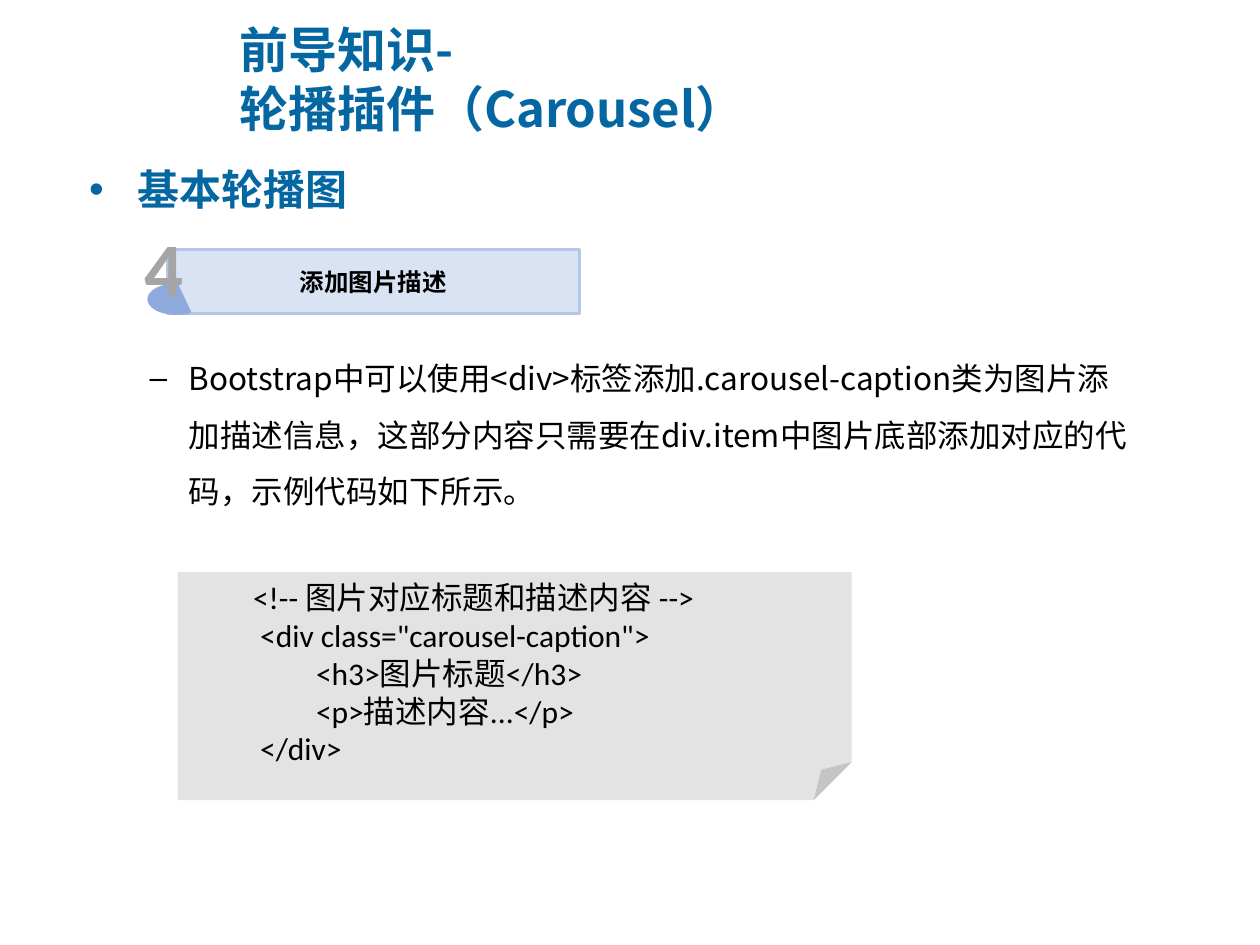
from lxml.etree import SubElement
from pptx import Presentation
from pptx.dml.color import RGBColor
from pptx.enum.shapes import MSO_SHAPE
from pptx.enum.text import MSO_ANCHOR, PP_ALIGN
from pptx.oxml.ns import qn
from pptx.util import Inches, Pt

# Content
TITLE = ["前导知识-", "轮播插件（Carousel）"]
SECTION = ["基本轮播图"]
STEP_NUMBER = ["4"]
STEP_NAME = ["添加图片描述"]
DESCRIPTION = ["Bootstrap中可以使用<div>标签添加.carousel-caption类为图片添加描述信息，"
               "这部分内容只需要在div.item中图片底部添加对应的代码，示例代码如下所示。"]
CODE = [
    "<!-- 图片对应标题和描述内容 -->",
    " <div class=\"carousel-caption\">",
    " \t<h3>图片标题</h3>",
    " \t<p>描述内容...</p>",
    " </div>",
]

COLORS = {"heading": "0567A2", "text": "000000", "number": "A5A5A5", "note": "A6A6A6",
          "bar": "DAE3F3", "bar_line": "B4C7E7", "chord": "8FAADC"}
LATIN, CJK = "Calibri", "Noto Sans CJK SC"

# Grid of 100 columns by 75 rows: left, top, width, height
COLUMNS, ROWS = 100, 75
AREAS = {
    "title": (18, 2, 62, 8.4),
    "section": (6.1, 10.5, 22.7, 6.4),
    "bar": (13.3, 19.8, 32.7, 5.1),
    "chord": (11.8, 22.6, 4.5, 2.3),
    "number": (10.3, 17, 5.5, 8.4),
    "description": (5.9, 26.5, 85.3, 24.9),
    "code": (14.1, 45.4, 53.5, 18.1),
}

presentation = Presentation()
presentation.slide_width, presentation.slide_height = Inches(10), Inches(7.5)
slide = presentation.slides.add_slide(presentation.slide_layouts[5])


def area(name):
    left, top, width, height = AREAS[name]
    cell_width = presentation.slide_width / COLUMNS
    cell_height = presentation.slide_height / ROWS
    return (round(left * cell_width), round(top * cell_height),
            round(width * cell_width), round(height * cell_height))


def color(name):
    return RGBColor.from_string(COLORS[name])


def write(shape, lines, size, font=CJK, fill="text", bold=False, align=PP_ALIGN.LEFT,
          anchor=MSO_ANCHOR.TOP, wrap=True, level=0, margin=0, indent=0, bullet=None,
          spacing=1.0):
    frame = shape.text_frame
    frame.word_wrap, frame.vertical_anchor = wrap, anchor
    for index, line in enumerate(lines):
        paragraph = frame.add_paragraph() if index else frame.paragraphs[0]
        paragraph.alignment, paragraph.level = align, level
        paragraph.line_spacing, paragraph.space_before = spacing, Pt(0)
        properties = paragraph._p.get_or_add_pPr()
        properties.set("marL", str(Inches(margin)))
        properties.set("indent", str(Inches(indent)))
        if bullet:
            SubElement(properties, qn("a:buFont"), typeface="Arial")
            SubElement(properties, qn("a:buChar"), char=bullet)
        else:
            SubElement(properties, qn("a:buNone"))
        run = paragraph.add_run()
        run.text = line
        run.font.size, run.font.bold, run.font.name = Pt(size), bold, font
        run.font.color.rgb = color(fill)
        SubElement(run._r.get_or_add_rPr(), qn("a:ea"), typeface=CJK)


def add_shape(shapes, kind, name, fill, line=None):
    shape = shapes.add_shape(kind, *area(name))
    shape.shadow.inherit = False
    shape.fill.solid()
    shape.fill.fore_color.rgb = color(fill)
    if line:
        shape.line.color.rgb, shape.line.width = color(line), Pt(1.5)
    else:
        shape.line.fill.background()
    return shape


# Title
title = slide.shapes.title
title.left, title.top, title.width, title.height = area("title")
write(title, TITLE, 28, fill="heading", bold=True, anchor=MSO_ANCHOR.MIDDLE,
      margin=0.62, indent=-0.62)

# Description and section heading
description = slide.shapes.add_textbox(*area("description"))
write(description, DESCRIPTION, 18, level=1, margin=0.81, indent=-0.31, bullet="–", spacing=1.5)
section = slide.shapes.add_textbox(*area("section"))
write(section, SECTION, 24, font=LATIN, fill="heading", bold=True, wrap=False,
      margin=0.38, indent=-0.38, bullet="•", spacing=1.5)

# Numbered step label
step = slide.shapes.add_group_shape().shapes
bar = add_shape(step, MSO_SHAPE.RECTANGLE, "bar", "bar", "bar_line")
write(bar, STEP_NAME, 14, bold=True, align=PP_ALIGN.CENTER, anchor=MSO_ANCHOR.MIDDLE)
add_shape(step, MSO_SHAPE.CHORD, "chord", "chord", "chord")
number = step.add_textbox(*area("number"))
write(number, STEP_NUMBER, 44, font=LATIN, fill="number", bold=True,
      align=PP_ALIGN.CENTER, wrap=False)

# Code note with a translucent fill
note = add_shape(slide.shapes, MSO_SHAPE.FOLDED_CORNER, "code", "note")
note_color = note.fill._xPr.find(qn("a:solidFill")).find(qn("a:srgbClr"))
SubElement(note_color, qn("a:alpha"), val="31000")
write(note, CODE, 18, font=LATIN, level=1, margin=0.5)

presentation.save("out.pptx")
